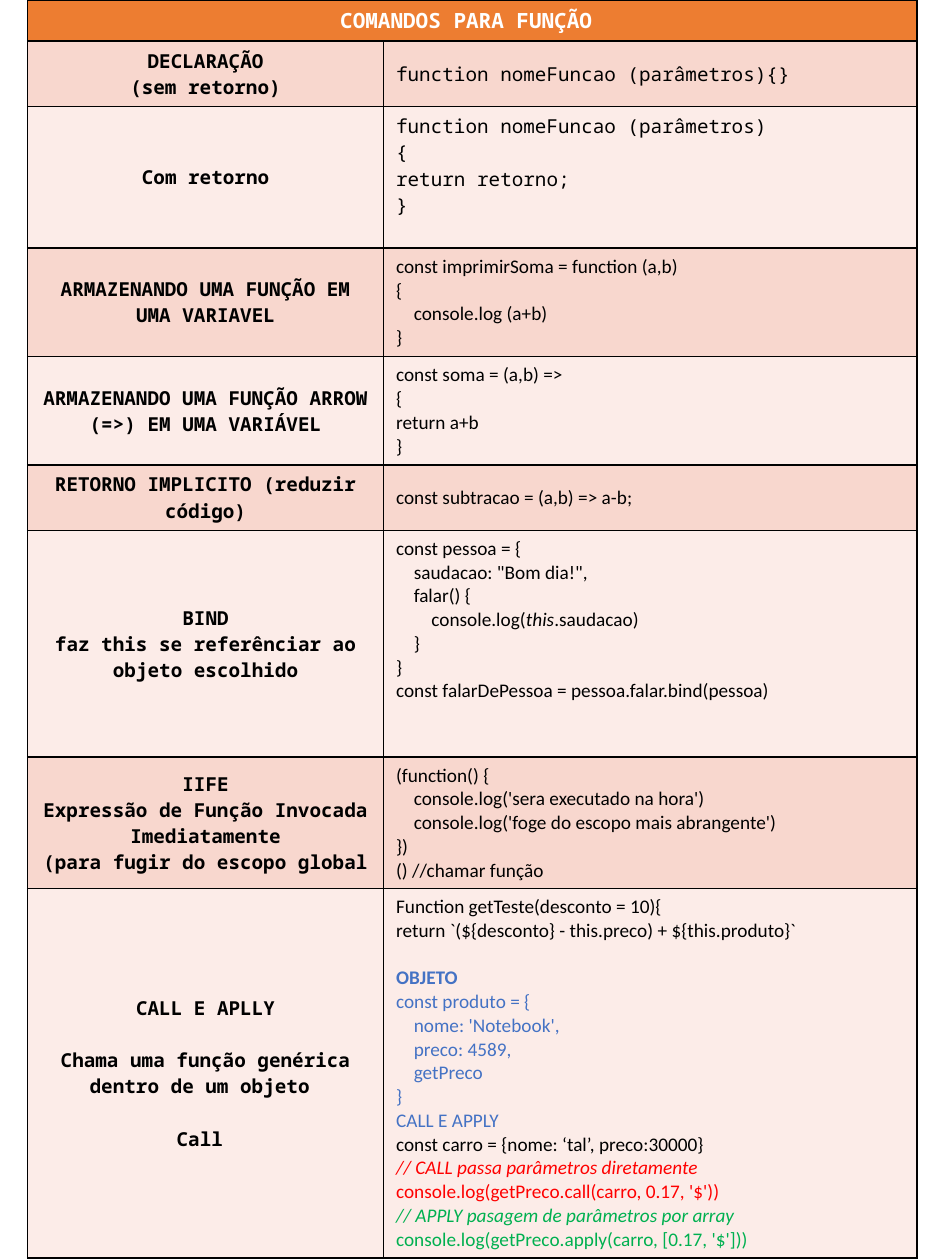
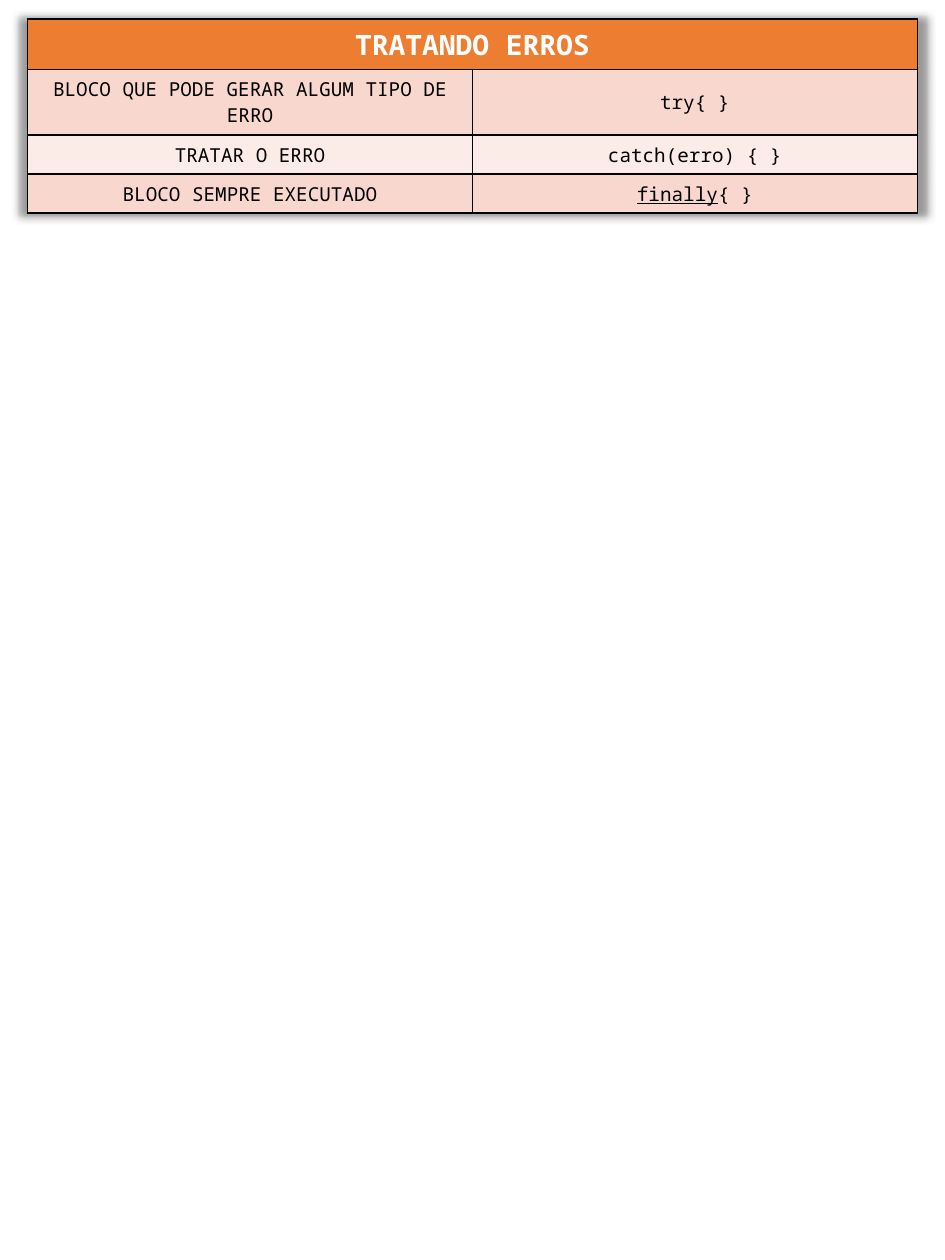
from lxml import etree
from pptx import Presentation
from pptx.dml.color import RGBColor
from pptx.enum.text import MSO_ANCHOR, PP_ALIGN
from pptx.oxml import parse_xml
from pptx.util import Inches, Pt

CENTER, LEFT = PP_ALIGN.CENTER, PP_ALIGN.LEFT
MIDDLE = MSO_ANCHOR.MIDDLE
NS = "http://schemas.openxmlformats.org/drawingml/2006/main"

# Shared look
W, H = 7.5, 10
MARGIN = 0.22
TABLE_W = W - 2 * MARGIN
MONO, SANS = "Noto Sans Mono", "Calibri"
LINE_PT = {MONO: 15, SANS: 13.4}
INDENT = 0.14
ORANGE, BANDS = "ED7D31", ["F8D7CE", "FCECE8"]
BLACK, WHITE = "000000", "FFFFFF"
BLUE, RED, GREEN = "4472C4", "FF0000", "00B050"


def rgb(value):
    return RGBColor.from_string(value)


def fill_cell(cell, blocks, band, font=MONO, size=11, align=LEFT, bold=False):
    """Blocks are (text, colour, style); an empty line is a gap, a tab an indent,
    and text between bars is emphasised in the block's style."""
    cell.vertical_anchor = MIDDLE
    cell.fill.solid()
    cell.fill.fore_color.rgb = rgb(band)
    for i, side in enumerate(("lnL", "lnR", "lnT", "lnB")):
        cell._tc.get_or_add_tcPr().insert(i, parse_xml(
            f'<a:{side} xmlns:a="{NS}" w="12700"><a:solidFill>'
            f'<a:srgbClr val="{BLACK}"/></a:solidFill></a:{side}>'))
    tf = cell.text_frame
    p, gap = None, 0
    for text, color, style in blocks:
        for line in text.split("\n"):
            if not line:
                gap = LINE_PT[font]
                continue
            p = tf.add_paragraph() if p else tf.paragraphs[0]
            p.alignment = align
            p.font.name, p.font.size, p.font.bold = font, Pt(size), bold
            p.font.color.rgb = rgb(color)
            if gap:
                p.space_before, gap = Pt(gap), 0
            code = line.lstrip("\t")
            depth = len(line) - len(code)
            if depth:
                p._p.get_or_add_pPr().set("marL", str(Inches(depth * INDENT)))
            parts = code.split("|")
            if len(parts) == 1:
                p.text = code
                if style:
                    setattr(p.font, style, True)
                continue
            for i, part in enumerate(parts):
                if part:
                    r = p.add_run()
                    r.text = part
                    if i % 2:
                        setattr(r.font, style, True)


# Content: label, code font, code blocks, row height, empty space under the code
commands = [
    ("DECLARAÇÃO\v(sem retorno)", MONO,
     [("function nomeFuncao (parâmetros){}", BLACK, None)], 0.52, 0),
    ("Com retorno", MONO,
     [("function nomeFuncao (parâmetros)\n{\nreturn retorno;\n}", BLACK, None)], 1.12, 0.19),
    ("ARMAZENANDO UMA FUNÇÃO EM UMA VARIAVEL", SANS,
     [("const imprimirSoma = function (a,b)\n{\n\tconsole.log (a+b)\n}", BLACK, None)], 0.86, 0),
    ("ARMAZENANDO UMA FUNÇÃO ARROW (=>) EM UMA VARIÁVEL", SANS,
     [("const soma = (a,b) =>\n{\nreturn a+b\n}", BLACK, None)], 0.86, 0),
    ("RETORNO IMPLICITO (reduzir código)", SANS,
     [("const subtracao = (a,b) => a-b;", BLACK, None)], 0.52, 0),
    ("BIND\vfaz this se referênciar ao objeto escolhido", SANS,
     [('const pessoa = {\n\tsaudacao: "Bom dia!",\n\tfalar() {', BLACK, None),
      ("\t\tconsole.log(|this|.saudacao)", BLACK, "italic"),
      ("\t}\n}\nconst falarDePessoa = pessoa.falar.bind(pessoa)", BLACK, None)], 1.8, 0.38),
    ("IIFE\vExpressão de Função Invocada Imediatamente\v(para fugir do escopo global", SANS,
     [("(function() {\n\tconsole.log('sera executado na hora')\n"
       "\tconsole.log('foge do escopo mais abrangente')\n})\n() //chamar função",
       BLACK, None)], 1.04, 0),
    ("CALL E APLLY\n\nChama uma função genérica dentro de um objeto \n\nCall ", SANS,
     [("Function getTeste(desconto = 10){\n"
       "return `(${desconto} - this.preco) + ${this.produto}`", BLACK, None),
      ("\nOBJETO", BLUE, "bold"),
      ("const produto = {\n\tnome: 'Notebook',\n\tpreco: 4589,\n\tgetPreco\n}\nCALL E APPLY",
       BLUE, None),
      ("const carro = {nome: ‘tal’, preco:30000}", BLACK, None),
      ("// CALL passa parâmetros diretamente", RED, "italic"),
      ("console.log(getPreco.call(carro, 0.17, '$'))", RED, None),
      ("// APPLY pasagem de parâmetros por array", GREEN, "italic"),
      ("console.log(getPreco.apply(carro, [0.17, '$']))", GREEN, None)], 2.93, 0),
]
errors = [
    ("BLOCO QUE PODE GERAR ALGUM TIPO DE ERRO", MONO, [("try{ }", BLACK, None)], 0.52, 0),
    ("TRATAR O ERRO", MONO, [("catch(erro) { }", BLACK, None)], 0.31, 0),
    ("BLOCO SEMPRE EXECUTADO", MONO, [("|finally|{ }", BLACK, "underline")], 0.31, 0),
]
# Title, title size, title height, top, label share, bold labels, code alignment, shadow, rows
slides = [
    ("COMANDOS PARA FUNÇÃO ", 12, 0.32, 0, 0.4, True, LEFT, False, commands),
    ("TRATANDO ERROS", 16, 0.4, 0.15, 0.5, False, CENTER, True, errors),
]

prs = Presentation()
prs.slide_width, prs.slide_height = Inches(W), Inches(H)

for title, size, title_h, top, share, bold, align, shadow, rows in slides:
    s = prs.slides.add_slide(prs.slide_layouts[6])
    heights = [title_h] + [row[3] for row in rows]
    table = s.shapes.add_table(len(heights), 2, Inches(MARGIN), Inches(top),
                               Inches(TABLE_W), Inches(sum(heights))).table
    table.first_row = table.horz_banding = False
    for col, part in zip(table.columns, (share, 1 - share)):
        col.width = Inches(TABLE_W * part)
    for row, height in zip(table.rows, heights):
        row.height = Inches(height)

    # Plain table without a built-in style, with a soft shadow where wanted
    tblPr = table._tbl.tblPr
    for child in list(tblPr):
        tblPr.remove(child)
    if shadow:
        effects = etree.SubElement(tblPr, f"{{{NS}}}effectLst")
        outer = etree.SubElement(effects, f"{{{NS}}}outerShdw", blurRad="63500",
                                 sx="102000", sy="102000", algn="ctr", rotWithShape="0")
        color = etree.SubElement(outer, f"{{{NS}}}srgbClr", val=BLACK)
        etree.SubElement(color, f"{{{NS}}}alpha", val="40000")

    # Title band
    table.cell(0, 0).merge(table.cell(0, 1))
    fill_cell(table.cell(0, 0), [(title, WHITE, None)], ORANGE, size=size,
              align=CENTER, bold=True)
    fill_cell(table.cell(0, 1), [], ORANGE)

    # Label and code rows in alternating bands
    for i, (label, font, blocks, height, space) in enumerate(rows):
        band = BANDS[i % 2]
        fill_cell(table.cell(i + 1, 0), [(label, BLACK, None)], band, align=CENTER, bold=bold)
        code = table.cell(i + 1, 1)
        fill_cell(code, blocks, band, font=font, align=align)
        if space:
            code.margin_bottom = Inches(0.05 + space)

prs.save("out.pptx")
